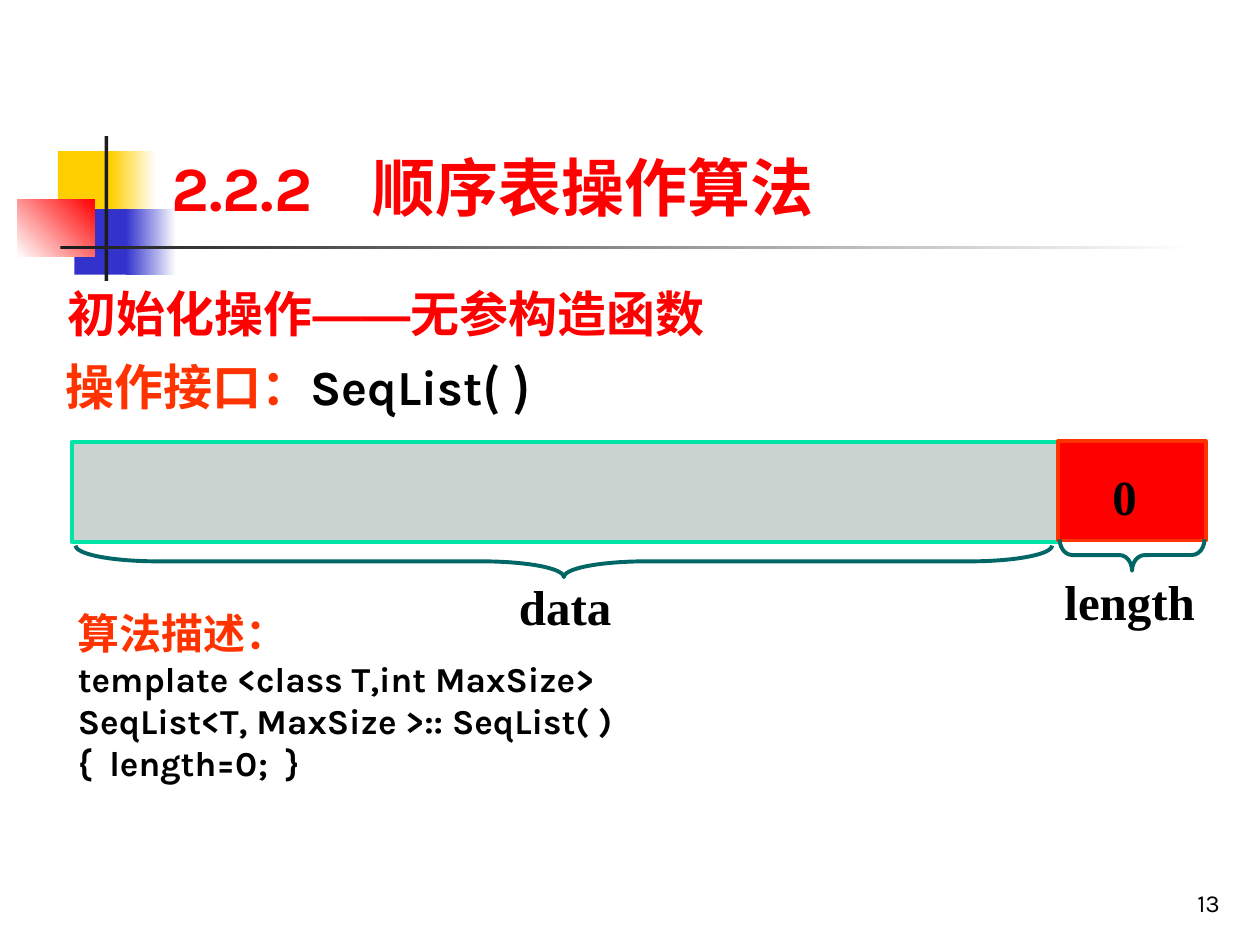
from pptx import Presentation
from pptx.dml.color import RGBColor
from pptx.enum.shapes import MSO_SHAPE
from pptx.enum.text import MSO_ANCHOR, PP_ALIGN
from pptx.oxml.ns import qn
from pptx.util import Inches, Pt
from lxml.etree import SubElement

COLUMNS, ROWS = 100, 75
RED, ORANGE, BLACK, WHITE = "FF0000", "FF3300", "000000", "FFFFFF"
YELLOW, BLUE, CHARCOAL, TEAL = "FFCF01", "3333CC", "1C1C1C", "006666"
KARLA, SERIF, CJK = "Karla", "Times New Roman", "Noto Sans CJK SC"


def rgb(value):
    return RGBColor.from_string(value)


class SlideBuilder:
    """Places elements on a grid of 100 columns by 75 rows."""

    def __init__(self, deck):
        self.deck = deck
        self.slide = deck.slides.add_slide(deck.slide_layouts[6])

    def place(self, left, top, width, height):
        column = self.deck.slide_width / COLUMNS
        row = self.deck.slide_height / ROWS
        return [round(n) for n in
                (left * column, top * row, width * column, height * row)]

    def shape(self, kind, area, line=None):
        shape = self.slide.shapes.add_shape(kind, *self.place(*area))
        shape.shadow.inherit = False
        if line:
            shape.line.color.rgb = rgb(line)
            shape.line.width = Pt(2.25)
        else:
            shape.line.fill.background()
        return shape

    def block(self, area, color, line=None):
        block = self.shape(MSO_SHAPE.RECTANGLE, area, line)
        block.fill.solid()
        block.fill.fore_color.rgb = rgb(color)

    def fade(self, area, start, end, angle=0):
        fill = self.shape(MSO_SHAPE.RECTANGLE, area).fill
        fill.gradient()
        fill.gradient_angle = angle
        for stop, color, position in zip(fill.gradient_stops, (start, end), (0, 1)):
            stop.color.rgb = rgb(color)
            stop.position = position

    def brace(self, center, middle, span, curve):
        """A brace that points down, drawn as a turned left brace."""
        depth = 2.5
        area = (center - depth / 2, middle - span / 2, depth, span)
        brace = self.shape(MSO_SHAPE.LEFT_BRACE, area, TEAL)
        brace.fill.background()
        brace.rotation = 270
        brace.adjustments[0] = curve / depth

    def text(self, area, lines, anchor=MSO_ANCHOR.TOP, side=0.1, tab=None, **layout):
        """Each line is a list of (text, size, font, color, bold) runs."""
        frame = self.slide.shapes.add_textbox(*self.place(*area)).text_frame
        frame_format = {"word_wrap": True, "vertical_anchor": anchor,
                        "margin_left": Inches(side), "margin_right": Inches(side)}
        for name, value in frame_format.items():
            setattr(frame, name, value)
        for index, runs in enumerate(lines):
            paragraph = frame.add_paragraph() if index else frame.paragraphs[0]
            for name, value in layout.items():
                setattr(paragraph, name, value)
            if tab:
                stops = SubElement(paragraph._p.get_or_add_pPr(), qn("a:tabLst"))
                SubElement(stops, qn("a:tab"), pos=str(Inches(tab)), algn="l")
            for run in runs:
                self.run(paragraph, *run)

    def run(self, paragraph, words, size, font, color, bold=True):
        run = paragraph.add_run()
        run.text = words
        for name, value in {"size": Pt(size), "name": font, "bold": bold}.items():
            setattr(run.font, name, value)
        run.font.color.rgb = rgb(color)
        east_asian = font if font == "Arial" else CJK
        SubElement(run.font._element, qn("a:ea"), typeface=east_asian)


def main():
    deck = Presentation()
    deck.slide_width, deck.slide_height = Inches(10), Inches(7.5)
    page = SlideBuilder(deck)

    # Corner ornament and title rule
    page.block((4.6, 12, 4.8, 5.2), YELLOW)
    page.fade((8.8, 12, 3.6, 5.2), YELLOW, WHITE)
    page.block((5.9, 16.6, 4.6, 5.2), BLUE)
    page.fade((10, 16.6, 4, 5.2), BLUE, WHITE)
    page.fade((1.4, 15.8, 6.1, 4.6), WHITE, RED, angle=45)
    page.block((8.3, 10.8, 0.3, 11.5), CHARCOAL)
    page.fade((4.8, 19.5, 90, 0.3), CHARCOAL, WHITE)

    # Title, heading and interface
    page.text((12.6, 2.3, 85.2, 16), [[("2.2.2\t顺序表操作算法", 36, KARLA, RED)]],
              MSO_ANCHOR.BOTTOM, tab=1.6)
    page.text((4.4, 21.6, 64.8, 6.4),
              [[("初始化操作", 28, KARLA, RED), ("——", 28, "Arial", RED),
                ("无参构造函数", 28, KARLA, RED)]], MSO_ANCHOR.MIDDLE)
    page.text((5.2, 28.3, 53.8, 5.2),
              [[("操作接口：", 28, KARLA, ORANGE), ("SeqList", 28, KARLA, BLACK),
                ("( )", 28, CJK, BLACK)]], side=0, line_spacing=0.9)

    # Storage diagram: data area and length field
    page.block((5.7, 35.1, 78.4, 7.9), "CBD3D1", "00E4A8")
    page.block((84, 35, 11.7, 7.9), RED, ORANGE)
    page.brace(44.75, 44.55, 77.5, curve=6.5)
    page.brace(89.85, 44.05, 11.5, curve=1)
    labels = [("data", (40.2, 45.3, 10.2, 5.7)),
              ("length", (83.5, 44.9, 12.6, 5.7)),
              ("0", (87.3, 36.5, 5.6, 5.7))]
    for label, area in labels:
        page.text(area, [[(label, 28, SERIF, BLACK)]])

    # Algorithm listing
    code = ["template <class T,int MaxSize>",
            "SeqList<T, MaxSize >:: SeqList( )",
            "{  length=0;  }"]
    page.text((5.2, 47.7, 66.7, 15),
              [[("算法描述：", 24, SERIF, ORANGE)]]
              + [[(line, 20, KARLA, BLACK)] for line in code])

    # Page number
    page.text((77, 68.3, 20.8, 5), [[("13", 14, KARLA, BLACK, False)]],
              MSO_ANCHOR.BOTTOM, alignment=PP_ALIGN.RIGHT)

    deck.save("out.pptx")


if __name__ == "__main__":
    main()
